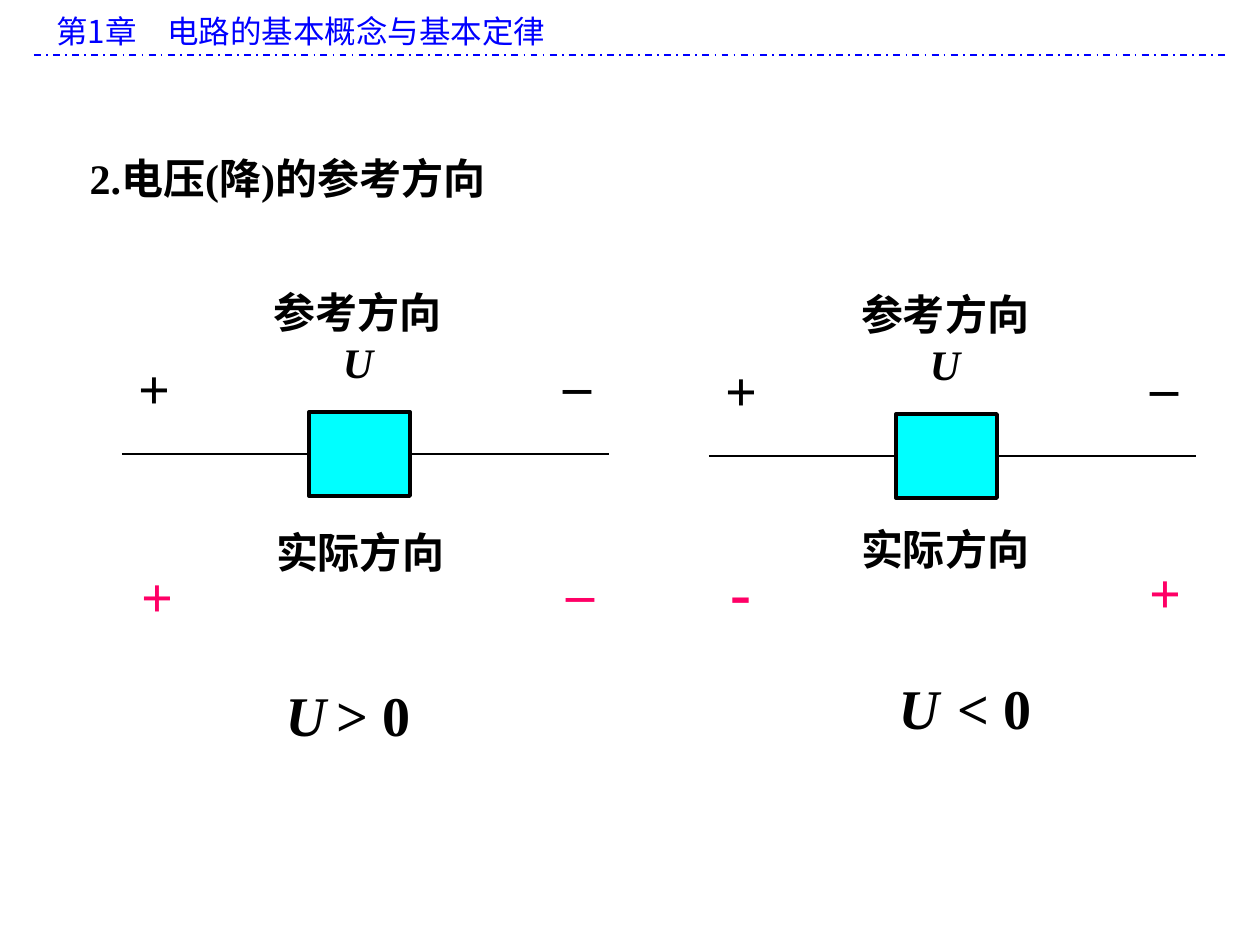
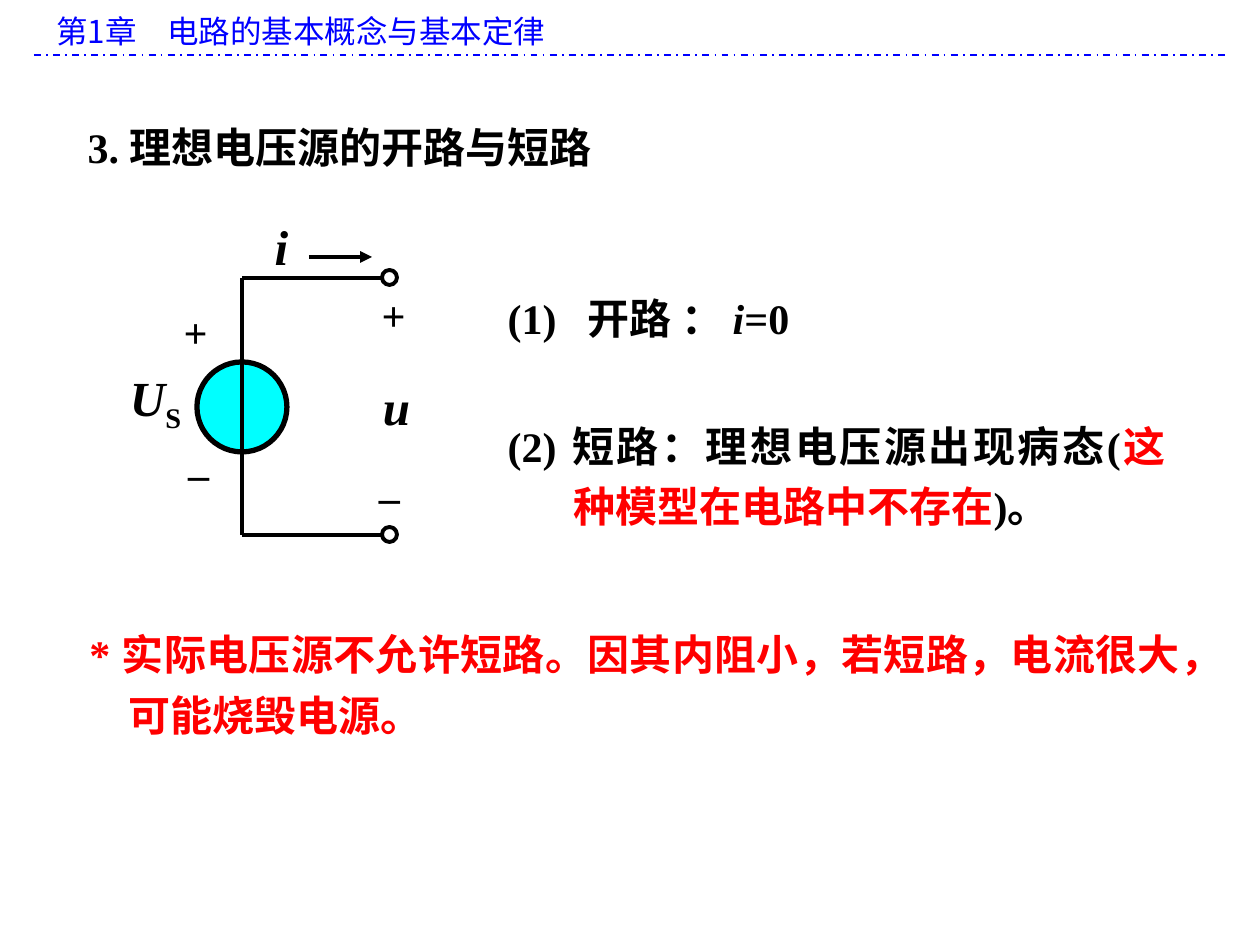
"""Builds two slides on voltage reference directions and ideal voltage sources."""
from dataclasses import dataclass

from lxml import etree
from pptx import Presentation
from pptx import util as u
from pptx.dml.color import RGBColor
from pptx.enum import dml, lang, shapes, text
from pptx.oxml.ns import qn

SCALE = 914400 / 126
BLACK, BLUE, CYAN, RED, PINK = "000000", "0000FF", "00FFFF", "FF0000", "FF0066"
LATIN, CJK = "Times New Roman", "Noto Sans CJK SC"
LEFT, CENTER, JUSTIFY = (text.PP_ALIGN.LEFT, text.PP_ALIGN.CENTER,
                         text.PP_ALIGN.JUSTIFY)
TOP, MIDDLE = text.MSO_ANCHOR.TOP, text.MSO_ANCHOR.MIDDLE


@dataclass(frozen=True)
class Run:
    text: str
    size: float = 24
    color: str = BLACK
    bold: bool = True
    italic: bool = False
    font: str = LATIN
    baseline: int = 0


@dataclass(frozen=True)
class Para:
    runs: tuple[Run, ...]
    align: int = CENTER
    hang: int = 0
    spacing: float = 1.0
    before: float = 0


@dataclass(frozen=True)
class Label:
    x: int
    y: int
    w: int
    h: int
    runs: tuple[Run, ...]
    rotation: int = 0


@dataclass(frozen=True)
class Panel:
    dx: int
    dy: int
    labels: tuple[Label, ...]


def px(n: float) -> int:
    return round(n * SCALE)


def rgb(color: str) -> RGBColor:
    return RGBColor.from_string(color)


def add_run(p, run: Run) -> None:
    r = p.add_run()
    r.text = run.text
    f = r.font
    f.name, f.size, f.bold, f.italic = run.font, u.Pt(run.size), run.bold, run.italic
    f.color.rgb = rgb(run.color)
    f.language_id = lang.MSO_LANGUAGE_ID.SIMPLIFIED_CHINESE
    rpr = r._r.get_or_add_rPr()
    etree.SubElement(rpr, qn("a:ea")).set("typeface", CJK)
    if run.baseline:
        rpr.set("baseline", str(run.baseline * 1000))


def write(sp, paras: tuple[Para, ...], anchor: int = MIDDLE, wrap: bool = True) -> None:
    tf = sp.text_frame
    tf.auto_size = text.MSO_AUTO_SIZE.NONE
    tf.word_wrap, tf.vertical_anchor = wrap, anchor
    for i, para in enumerate(paras):
        p = tf.add_paragraph() if i else tf.paragraphs[0]
        p.alignment, p.line_spacing = para.align, para.spacing
        p.space_before = u.Pt(para.before)
        ppr = p._p.get_or_add_pPr()
        ppr.set("marL", str(px(para.hang)))
        ppr.set("indent", str(-px(para.hang)))
        etree.SubElement(ppr, qn("a:buNone"))
        for run in para.runs:
            add_run(p, run)


def place(sp, x: int, y: int, w: int, h: int) -> None:
    sp.left, sp.top, sp.width, sp.height = px(x), px(y), px(w), px(h)


def add_box(s, x: int, y: int, w: int, h: int):
    return s.shapes.add_textbox(px(x), px(y), px(w), px(h))


def add_label(s, label: Label, dx: int = 0, dy: int = 0) -> None:
    sp = add_box(s, label.x + dx, label.y + dy, label.w, label.h)
    sp.rotation = label.rotation
    write(sp, (Para(label.runs),), wrap=False)


def add_line(s, x1: int, y1: int, x2: int, y2: int, width: float = 2.25,
             color: str = BLACK, dash: int | None = None, arrow: bool = False) -> None:
    c = s.shapes.add_connector(shapes.MSO_CONNECTOR.STRAIGHT,
                               px(x1), px(y1), px(x2), px(y2))
    c.line.width = u.Pt(width)
    c.line.color.rgb = rgb(color)
    if dash is not None:
        c.line.dash_style = dash
    if arrow:
        etree.SubElement(c.line._get_or_add_ln(), qn("a:tailEnd")).set("type", "triangle")
    etree.SubElement(c._element.spPr, qn("a:effectLst"))


def add_shape(s, kind: int, x: int, y: int, w: int, h: int,
              fill: str | None = CYAN, width: float = 2.25) -> None:
    sp = s.shapes.add_shape(kind, px(x), px(y), px(w), px(h))
    sp.shadow.inherit = False
    if fill:
        sp.fill.solid()
        sp.fill.fore_color.rgb = rgb(fill)
    else:
        sp.fill.background()
    sp.line.color.rgb = rgb(BLACK)
    sp.line.width = u.Pt(width)


def new_slide(prs, layout: int, title: str, x: int, y: int):
    s = prs.slides.add_slide(prs.slide_layouts[layout])
    chapter = Run("第1章\t电路的基本概念与基本定律", 18, BLUE, False, font=CJK)
    write(add_box(s, 44, 6, 1181, 50), (Para((chapter,), LEFT, hang=111),), TOP)
    add_line(s, 34, 55, 1225, 55, 1, BLUE, dml.MSO_LINE.DASH_DOT)
    place(s.shapes.title, x, y, 1020, 63)
    write(s.shapes.title, (Para((Run(title),), LEFT),))
    return s


def sign(x: int, y: int, mark: str, color: str = BLACK, size: float = 32) -> Label:
    return Label(x, y, 105, 79, (Run(mark, size, color),))


def add_panel(s, panel: Panel) -> None:
    dx, dy = panel.dx, panel.dy
    sp = add_box(s, 261 + dx, 280 + dy, 194, 113)
    write(sp, (Para((Run("参考方向"),)), Para((Run("U", italic=True),))), wrap=False)
    for label in (sign(102, 348, "+"), sign(525, 344, "–")):
        add_label(s, label, dx, dy)
    add_shape(s, shapes.MSO_SHAPE.RECTANGLE, 309 + dx, 412 + dy, 101, 84)
    for x1, x2 in ((122, 308), (410, 609)):
        add_line(s, x1 + dx, 454 + dy, x2 + dx, 454 + dy, 1.5)
    for label in panel.labels:
        add_label(s, label)


def add_reference_slide(prs) -> None:
    s = new_slide(prs, 5, "2.电压(降)的参考方向", 77, 146)
    actual = (Run("实际方向"),)
    voltage = (Run("U", 32, italic=True),)
    add_panel(s, Panel(0, 0, (
        Label(263, 520, 194, 63, actual),
        sign(105, 556, "+", PINK), sign(528, 552, "–", PINK),
        Label(273, 675, 66, 79, voltage),
        Label(324, 675, 100, 79, (Run("> 0", 32),)))))
    add_panel(s, Panel(587, 2, (
        Label(848, 517, 194, 63, actual),
        sign(689, 551, "-", PINK, 36), sign(1113, 552, "+", PINK),
        Label(886, 668, 66, 79, voltage),
        Label(938, 668, 113, 79, (Run("< 0", 32),)))))


def add_source_circuit(s) -> None:
    top, bottom, wire, end = 278, 535, 242, 382
    oval = shapes.MSO_SHAPE.OVAL
    add_shape(s, oval, 197, 362, 90, 90, width=3)
    add_line(s, wire, bottom, wire, top)
    for y in (top, bottom):
        add_line(s, end, y, wire, y)
        add_shape(s, oval, end, y - 8, 15, 15, None)
    add_line(s, 309, 257, 372, 257, arrow=True)
    plus, minus = (Run("+"),), (Run("_"),)
    for label in (
            Label(116, 365, 79, 72, (Run("U", 28, italic=True),
                                     Run("S", 28, baseline=-25))),
            Label(262, 210, 39, 72, (Run("i", 28, italic=True),)),
            Label(370, 370, 53, 72, (Run("u", 28, italic=True),)),
            Label(171, 306, 49, 63, plus, 180), Label(369, 289, 49, 63, plus, 180),
            Label(177, 427, 43, 63, minus), Label(368, 450, 43, 63, minus)):
        add_label(s, label)


def add_source_slide(prs) -> None:
    s = new_slide(prs, 1, "3. 理想电压源的开路与短路", 75, 115)
    body = s.placeholders[1]
    place(body, 495, 286, 683, 254)
    write(body, (
        Para((Run("(1)\t开路 ： "), Run("i", italic=True), Run("=0")), LEFT, hang=80),
        Para((Run("(2) 短路：理想电压源出现病态("),
              Run("这种模型在电路中不存在", color=RED), Run(")。")),
             JUSTIFY, hang=66, spacing=1.2, before=38.5)), TOP)
    add_source_circuit(s)
    note = Run("* 实际电压源不允许短路。因其内阻小，若短路，电流很大，可能烧毁电源。",
               color=RED)
    write(add_box(s, 77, 612, 1116, 134),
          (Para((note,), JUSTIFY, hang=39, spacing=1.2),))


def main() -> None:
    prs = Presentation()
    prs.slide_width, prs.slide_height = px(1260), px(945)
    add_reference_slide(prs)
    add_source_slide(prs)
    prs.save("out.pptx")


main()
